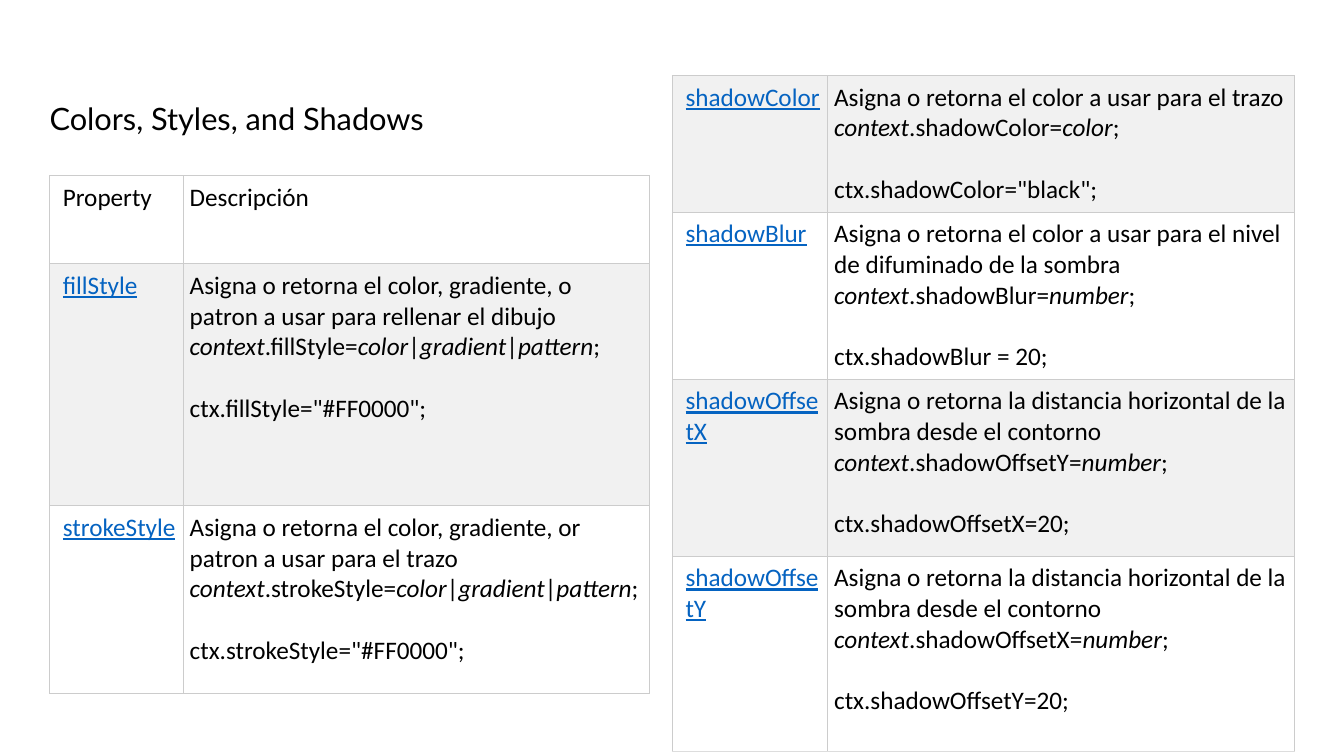
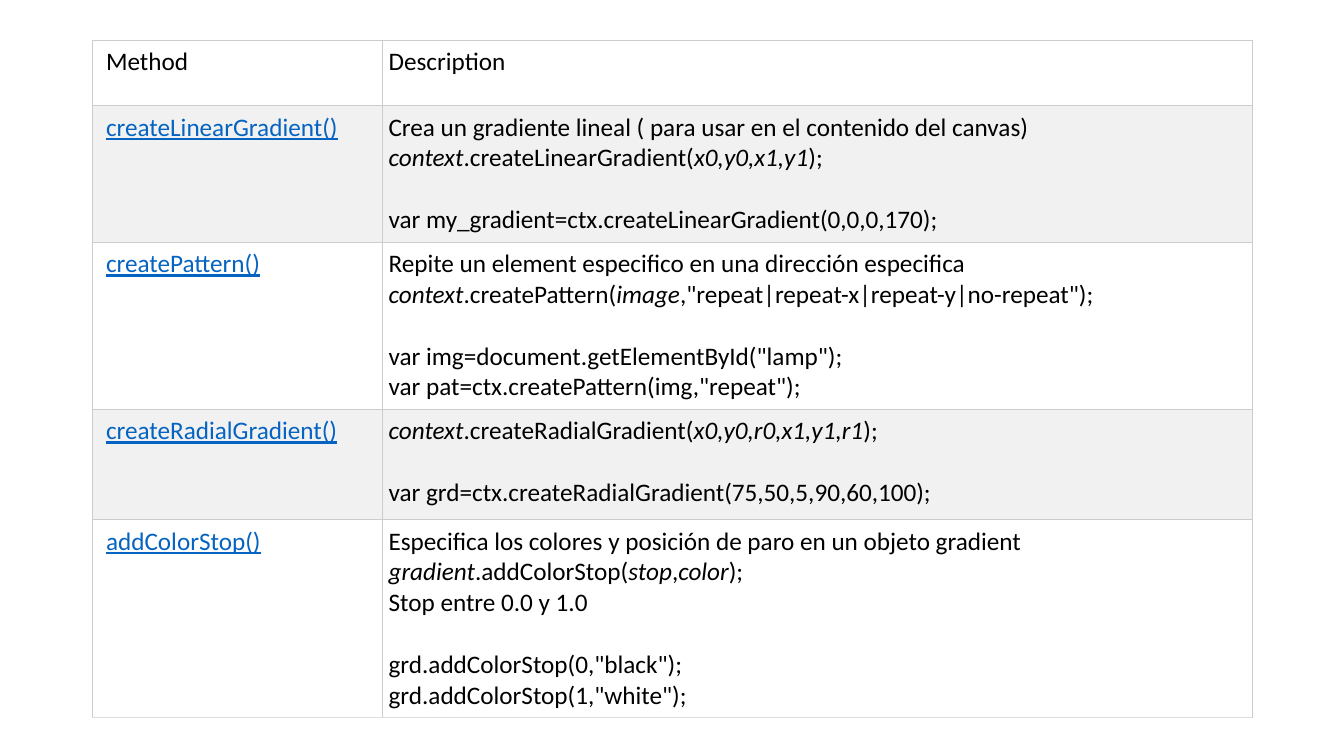
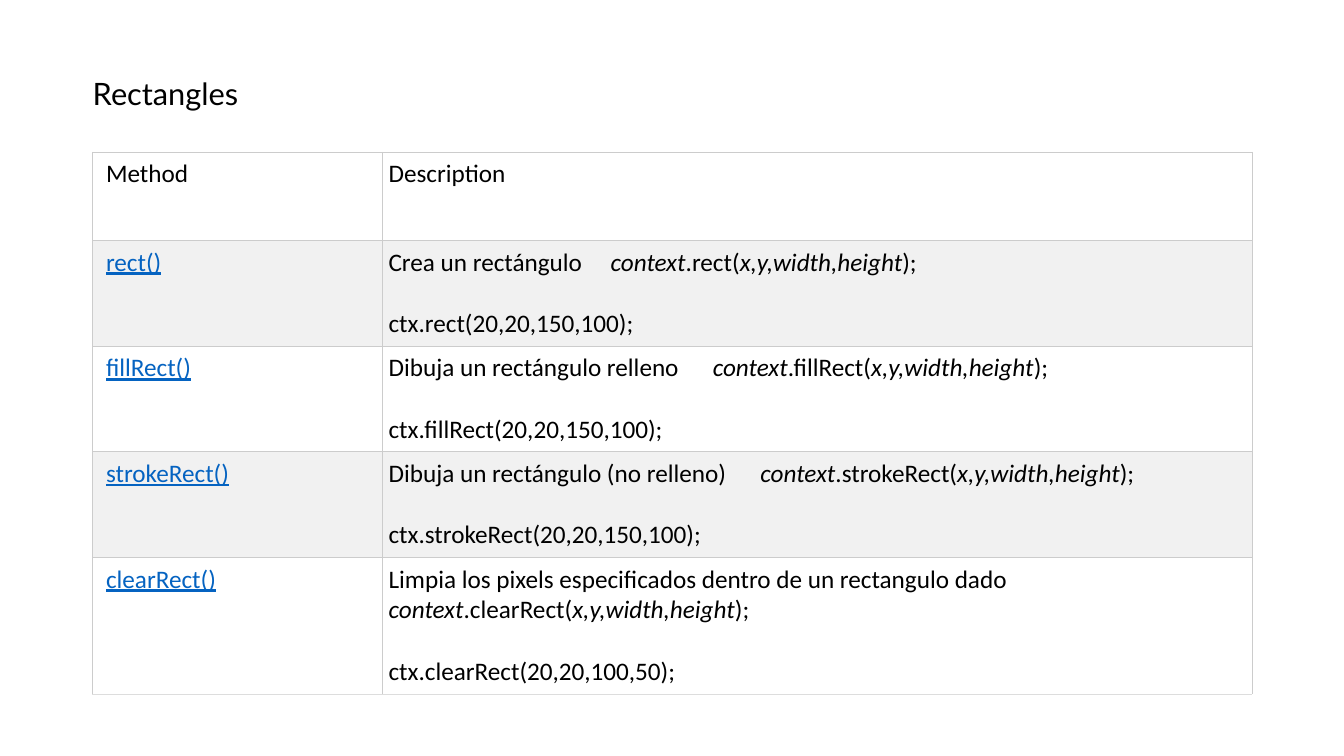
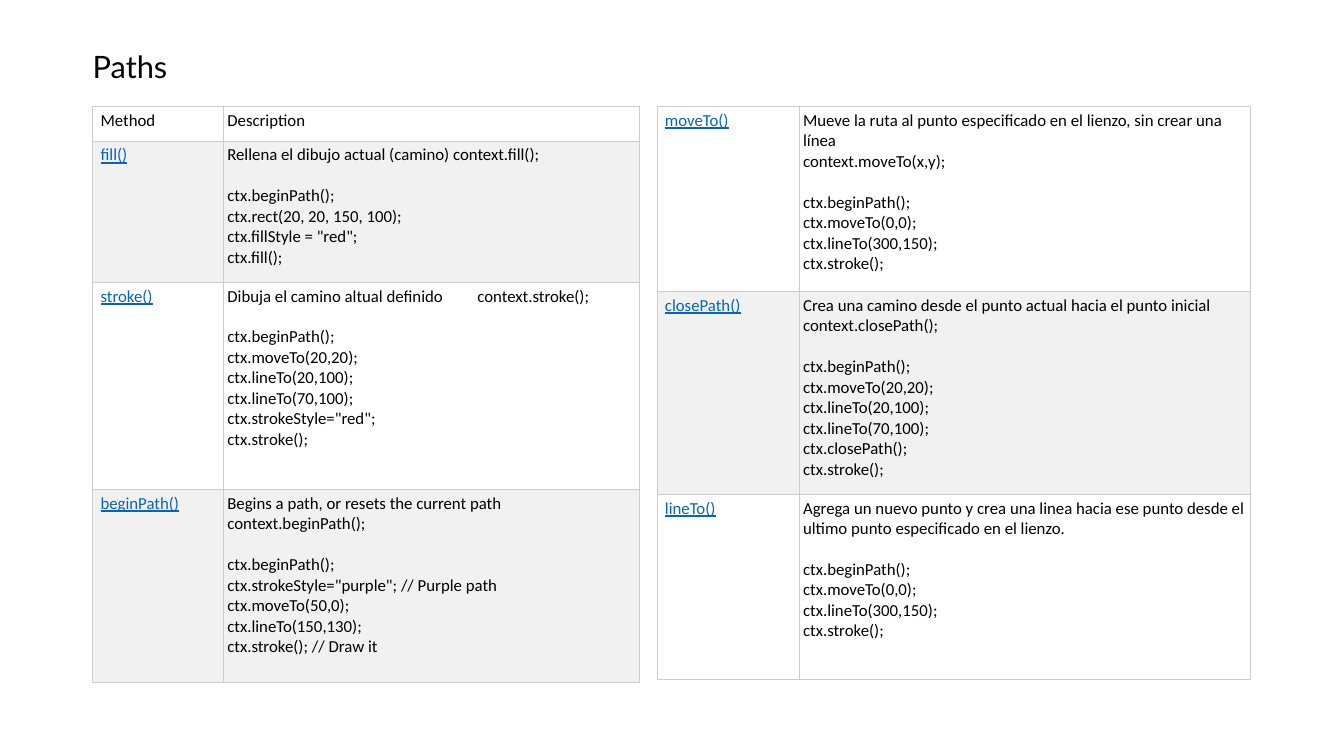
"""Builds four reference slides on the canvas drawing API."""
from lxml.etree import SubElement
from pptx import Presentation
from pptx.dml.color import RGBColor
from pptx.enum.text import MSO_ANCHOR, MSO_AUTO_SIZE, PP_ALIGN
from pptx.oxml.ns import qn
from pptx.util import Pt

COLOURS = {
    "text": "000000",
    "link": "0563C1",
    "plain": "FFFFFF",
    "band": "F1F1F1",
    "border": "CCCCCC",
    "closing": "DDDDDD",
}
LEFT = 66.25
WIDE_COLUMNS = (206.6, 621.4)


class Deck:
    """Holds the shared style and the current slide."""

    title_font, title_size = "Lato", 22
    body_font = "Calibri"
    line_height = 1.22

    def __init__(self):
        """Starts an empty widescreen presentation."""
        self.presentation = Presentation()
        self.presentation.slide_width = Pt(960)
        self.presentation.slide_height = Pt(540)
        self.slide = None

    def colour(self, name):
        """Returns a named colour."""
        return RGBColor.from_string(COLOURS[name])

    def add_slide(self, title=None, left=LEFT, top=0):
        """Opens a slide, with a heading if one is given."""
        layouts = self.presentation.slide_layouts
        self.slide = self.presentation.slides.add_slide(layouts[5 if title else 6])
        if not title:
            return
        heading = self.slide.shapes.title
        heading.left, heading.top = Pt(left), Pt(top)
        heading.width, heading.height = Pt(828), Pt(36)
        heading.fill.solid()
        heading.fill.fore_color.rgb = self.colour("plain")
        frame = heading.text_frame
        frame.text = title
        frame.auto_size = MSO_AUTO_SIZE.NONE
        frame.vertical_anchor = MSO_ANCHOR.TOP
        frame.margin_left = frame.margin_right = 0
        frame.margin_top = frame.margin_bottom = Pt(5)
        frame.paragraphs[0].alignment = PP_ALIGN.LEFT
        self.style(frame.paragraphs[0].runs[0], self.title_font, self.title_size)

    def style(self, run, font, size, colour="text"):
        """Formats one run."""
        run.font.name, run.font.size = font, Pt(size)
        run.font.color.rgb = self.colour(colour)

    def add_reference(self, left, top, columns, heights, rows,
                      size=18, inset=4.75, first_band=0, closing="border"):
        """Adds a table of names, explanations and sample code."""
        table = self.slide.shapes.add_table(
            len(rows), 2, Pt(left), Pt(top), Pt(sum(columns)), Pt(sum(heights))).table
        table.first_row = table.horz_banding = False
        for column, width in zip(table.columns, columns):
            column.width = Pt(width)
        for index, (name, usage, sample, *stop) in enumerate(rows):
            table.rows[index].height = Pt(heights[index])
            name_cell, usage_cell = table.rows[index].cells
            bottom = closing if index == len(rows) - 1 else "border"
            fill = ("plain", "band")[(index + first_band) % 2]
            for cell in (name_cell, usage_cell):
                self.frame_cell(cell, inset, fill, bottom)
            name_cell.margin_left = Pt(2 * inset)
            self.add_words(name_cell, name, size)
            if sample:
                link = name_cell.text_frame.paragraphs[0].runs[0]
                self.style(link, self.body_font, size, "link")
                link.font.underline = True
            self.add_words(usage_cell, usage, size, sample, *stop)

    def frame_cell(self, cell, inset, fill, bottom):
        """Sets the margins, borders and fill of a cell."""
        cell.margin_left = cell.margin_right = Pt(inset)
        cell.margin_top = cell.margin_bottom = Pt(inset)
        properties = cell._tc.get_or_add_tcPr()
        for side in "LRTB":
            line = SubElement(properties, qn(f"a:ln{side}"), w=str(Pt(0.6)))
            solid = SubElement(line, qn("a:solidFill"))
            tone = bottom if side == "B" else "border"
            SubElement(solid, qn("a:srgbClr"), val=COLOURS[tone])
        cell.fill.solid()
        cell.fill.fore_color.rgb = self.colour(fill)

    def add_words(self, cell, text, size, sample="", stop=None):
        """Adds text with *italics*, then sample code one line lower."""
        frame = cell.text_frame
        usage = text.split("\n")
        for index, line in enumerate(usage + (sample.split("\n") if sample else [])):
            paragraph = frame.add_paragraph() if index else frame.paragraphs[0]
            if index == len(usage):
                paragraph.space_before = Pt(size * self.line_height)
            if stop and not index:
                tabs = SubElement(paragraph._p.get_or_add_pPr(), qn("a:tabLst"))
                SubElement(tabs, qn("a:tab"), pos=str(Pt(stop)), algn="l")
            for part, words in enumerate(line.split("*")):
                if words:
                    run = paragraph.add_run()
                    run.text = words
                    self.style(run, self.body_font, size)
                    run.font.italic = part % 2 == 1


def build_styles(deck):
    """Builds the slide on colours, styles and shadows."""
    deck.add_slide("Colors, Styles, and Shadows", 35.4, 66)
    deck.add_reference(35.4, 125.4, (95.4, 333.2), (63, 172.8, 133.8), [
        ("Property", "Descripción", ""),
        ("fillStyle",
         "Asigna o retorna el color, gradiente, o patron a usar para rellenar el dibujo\n"
         "*context*.fillStyle=*color*|*gradient*|*pattern*;",
         'ctx.fillStyle="#FF0000";'),
        ("strokeStyle",
         "Asigna o retorna el color, gradiente, or patron a usar para el trazo\n"
         "*context*.strokeStyle=*color*|*gradient*|*pattern*;",
         'ctx.strokeStyle="#FF0000";'),
    ])
    deck.add_reference(480.2, 54, (110.9, 333.4), (95.8, 117.8, 126.4, 139.4), [
        ("shadowColor",
         "Asigna o retorna el color a usar para el trazo\n"
         "*context*.shadowColor=*color*;",
         'ctx.shadowColor="black";'),
        ("shadowBlur",
         "Asigna o retorna el color a usar para el nivel de difuminado de la sombra\n"
         "*context*.shadowBlur=*number*;",
         "ctx.shadowBlur = 20;"),
        ("shadowOffsetX",
         "Asigna o retorna la distancia horizontal de la sombra desde el contorno\n"
         "*context*.shadowOffsetY=*number*;",
         "ctx.shadowOffsetX=20;"),
        ("shadowOffsetY",
         "Asigna o retorna la distancia horizontal de la sombra desde el contorno\n"
         "*context*.shadowOffsetX=*number*;",
         "ctx.shadowOffsetY=20;"),
    ], first_band=1, closing="closing")


def build_gradients(deck):
    """Builds the slide on gradients and patterns."""
    deck.add_slide()
    deck.add_reference(LEFT, 28.8, WIDE_COLUMNS, (46.6, 97.6, 119.4, 78.8, 141.4), [
        ("Method", "Description", ""),
        ("createLinearGradient()",
         "Crea un gradiente lineal ( para usar en el contenido del canvas)\n"
         "*context*.createLinearGradient(*x0,y0,x1,y1*);",
         "var my_gradient=ctx.createLinearGradient(0,0,0,170);"),
        ("createPattern()",
         "Repite un element especifico en una dirección especifica\n"
         '*context*.createPattern(*image*,"repeat|repeat-x|repeat-y|no-repeat");',
         'var img=document.getElementById("lamp");\n'
         'var pat=ctx.createPattern(img,"repeat");'),
        ("createRadialGradient()",
         "*context*.createRadialGradient(*x0,y0,r0,x1,y1,r1*);",
         "var grd=ctx.createRadialGradient(75,50,5,90,60,100);"),
        ("addColorStop()",
         "Especifica los colores y posición de paro en un objeto gradient\n"
         "*gradient*.addColorStop(*stop*,*color*);\n"
         "Stop entre 0.0 y 1.0",
         'grd.addColorStop(0,"black");\n'
         'grd.addColorStop(1,"white");'),
    ], closing="closing")


def build_rectangles(deck):
    """Builds the slide on rectangles."""
    deck.add_slide("Rectangles", top=48.6)
    deck.add_reference(LEFT, 108.7, WIDE_COLUMNS, (63, 75.5, 75.5, 75.5, 97.6), [
        ("Method", "Description", ""),
        ("rect()",
         "Crea un rectángulo\t*context*.rect(*x,y,width,height*);",
         "ctx.rect(20,20,150,100);", 158.6),
        ("fillRect()",
         "Dibuja un rectángulo relleno\t*context*.fillRect(*x,y,width,height*);",
         "ctx.fillRect(20,20,150,100);", 231.6),
        ("strokeRect()",
         "Dibuja un rectángulo (no relleno)\t*context*.strokeRect(*x,y,width,height*);",
         "ctx.strokeRect(20,20,150,100);", 265.6),
        ("clearRect()",
         "Limpia los pixels especificados dentro de un rectangulo dado\n"
         "*context*.clearRect(*x,y,width,height*);",
         "ctx.clearRect(20,20,100,50);"),
    ], closing="closing")


def build_paths(deck):
    """Builds the slide on paths."""
    compact = {"size": 12, "inset": 2.8}
    deck.add_slide("Paths", top=29.2)
    deck.add_reference(LEFT, 76, (93.4, 297.2), (24.8, 100.8, 148, 137.8), [
        ("Method", "Description", ""),
        ("fill()",
         "Rellena el dibujo actual (camino) context.fill();",
         "ctx.beginPath();\nctx.rect(20, 20, 150, 100);\n"
         'ctx.fillStyle = "red";\nctx.fill();'),
        ("stroke()",
         "Dibuja el camino altual definido\tcontext.stroke();",
         "ctx.beginPath();\nctx.moveTo(20,20);\nctx.lineTo(20,100);\n"
         'ctx.lineTo(70,100);\nctx.strokeStyle="red";\nctx.stroke();', 178.6),
        ("beginPath()",
         "Begins a path, or resets the current path\ncontext.beginPath();",
         'ctx.beginPath();\nctx.strokeStyle="purple"; // Purple path\n'
         "ctx.moveTo(50,0);\nctx.lineTo(150,130);\nctx.stroke(); // Draw it"),
    ], **compact)
    deck.add_reference(469.4, 76, (101.5, 322.6), (132.2, 144.8, 132.2), [
        ("moveTo()",
         "Mueve la ruta al punto especificado en el lienzo, sin crear una línea\n"
         "context.moveTo(x,y);",
         "ctx.beginPath();\nctx.moveTo(0,0);\nctx.lineTo(300,150);\nctx.stroke();"),
        ("closePath()",
         "Crea una camino desde el punto actual hacia el punto inicial\n"
         "context.closePath();",
         "ctx.beginPath();\nctx.moveTo(20,20);\nctx.lineTo(20,100);\n"
         "ctx.lineTo(70,100);\nctx.closePath();\nctx.stroke();"),
        ("lineTo()",
         "Agrega un nuevo punto y crea una linea hacia ese punto desde el ultimo "
         "punto especificado en el lienzo.",
         "ctx.beginPath();\nctx.moveTo(0,0);\nctx.lineTo(300,150);\nctx.stroke();"),
    ], **compact)


def main():
    """Builds and saves the presentation."""
    deck = Deck()
    for build in (build_styles, build_gradients, build_rectangles, build_paths):
        build(deck)
    deck.presentation.save("out.pptx")


if __name__ == "__main__":
    main()
